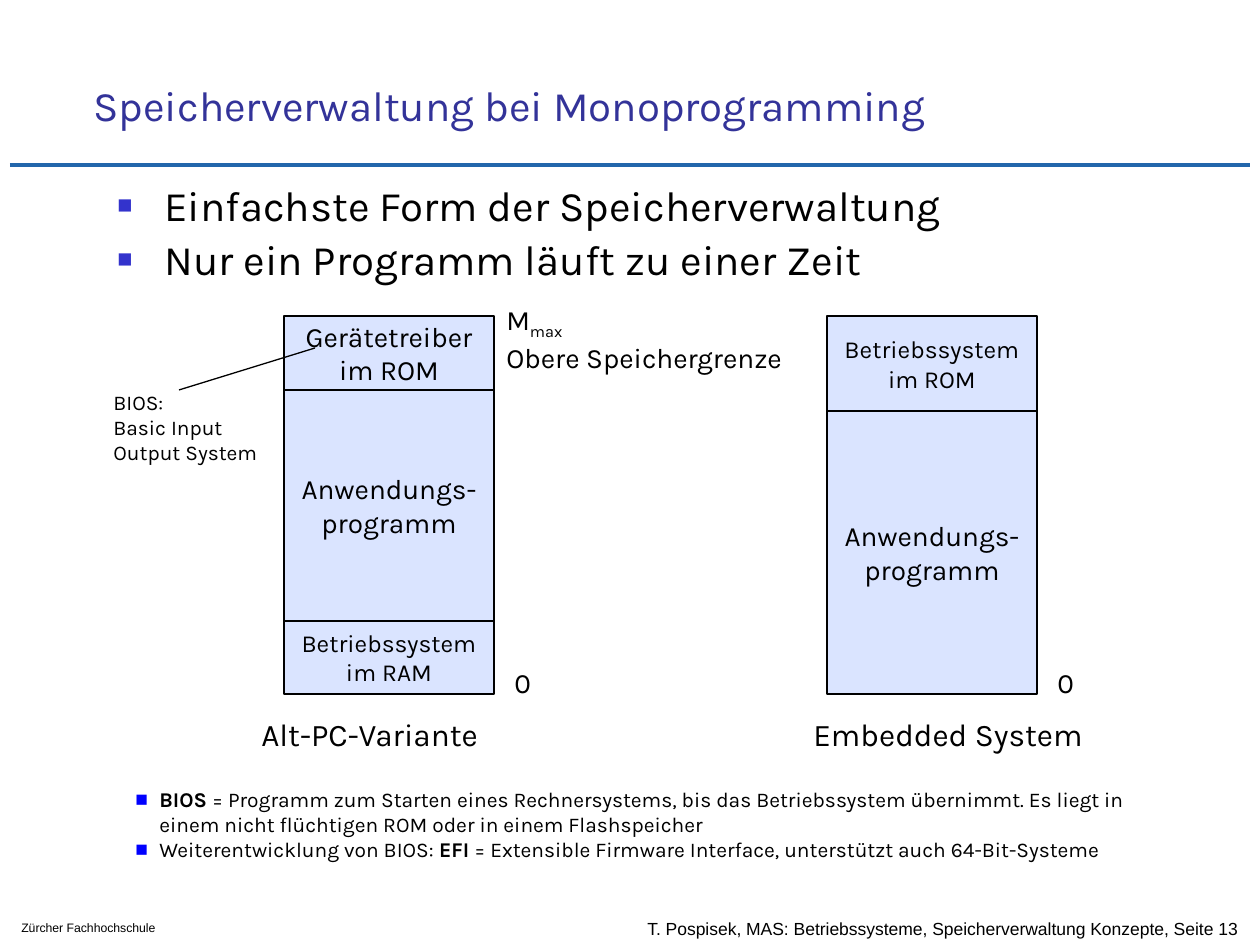
from dataclasses import dataclass

from lxml import etree
from pptx import Presentation
from pptx.dml.color import RGBColor
from pptx.enum.shapes import MSO_CONNECTOR, MSO_SHAPE
from pptx.enum.text import MSO_ANCHOR, MSO_AUTO_SIZE, PP_ALIGN
from pptx.oxml.ns import qn
from pptx.util import Pt

RECT = MSO_SHAPE.RECTANGLE
STRAIGHT = MSO_CONNECTOR.STRAIGHT
TOP, MIDDLE, BOTTOM = MSO_ANCHOR.TOP, MSO_ANCHOR.MIDDLE, MSO_ANCHOR.BOTTOM
LEFT, CENTER = PP_ALIGN.LEFT, PP_ALIGN.CENTER
GROW = MSO_AUTO_SIZE.SHAPE_TO_FIT_TEXT


@dataclass(frozen=True)
class Theme:
    font: str = "Karla"
    plain: str = "Arial"
    ink: str = "000000"
    title: str = "333399"
    rule: str = "2266AB"
    fill: str = "DAE4FF"
    mark: str = "3333CC"
    note: str = "0000FF"
    head: int = 24
    name: int = 18
    main: int = 16
    small: int = 14
    fine: int = 12
    foot: int = 10
    tiny: int = 7


THEME = Theme()


def px(n):
    return round(n * 914400 / 126)


def rgb(code):
    return RGBColor.from_string(code)


def add_run(para, text, size, color=THEME.ink, font=THEME.font, bold=False, base=0):
    run = para.add_run()
    run.text = text
    run.font.name = font
    run.font.size = Pt(size)
    run.font.bold = bold
    run.font.color.rgb = rgb(color)
    if base:
        run.font._element.set("baseline", str(base))


def write(frame, lines, size, align=LEFT, color=THEME.ink, font=THEME.font):
    paras = []
    for i, line in enumerate(lines):
        para = frame.add_paragraph() if i else frame.paragraphs[0]
        para.alignment = align
        parts = [(line, {})] if isinstance(line, str) else line
        for text, style in parts:
            add_run(para, text, size, color, font, **style)
        paras.append(para)
    return paras


def add_text(slide, box, lines, size, align=LEFT, anchor=TOP, wrap=False, **style):
    shape = slide.shapes.add_textbox(*map(px, box))
    frame = shape.text_frame
    frame.word_wrap = wrap
    if not wrap:
        frame.auto_size = GROW
    frame.vertical_anchor = anchor
    return write(frame, lines, size, align, **style)


def add_list(slide, box, lines, size, color, indent, scale=100, gap=0, pitch=None):
    paras = add_text(slide, box, lines, size, wrap=True)
    for i, para in enumerate(paras):
        props = para._p.get_or_add_pPr()
        props.set("marL", str(px(indent)))
        props.set("indent", str(-px(indent)))
        tint = etree.SubElement(props, qn("a:buClr"))
        etree.SubElement(tint, qn("a:srgbClr"), val=color)
        etree.SubElement(props, qn("a:buSzPct"), val=str(scale * 1000))
        etree.SubElement(props, qn("a:buFont"), typeface=THEME.plain)
        etree.SubElement(props, qn("a:buChar"), char="■")
        if pitch:
            para.line_spacing = pitch
        if i and gap:
            para.space_before = Pt(gap)


def add_line(slide, start, end, color, width):
    line = slide.shapes.add_connector(STRAIGHT, *map(px, start + end))
    line.line.color.rgb = rgb(color)
    line.line.width = Pt(width)
    etree.SubElement(line._element.spPr, qn("a:effectLst"))


def add_block(slide, box, lines, size):
    block = slide.shapes.add_shape(RECT, *map(px, box))
    block.shadow.inherit = False
    block.fill.solid()
    block.fill.fore_color.rgb = rgb(THEME.fill)
    block.line.color.rgb = rgb(THEME.ink)
    block.line.width = Pt(0.75)
    frame = block.text_frame
    frame.word_wrap = False
    frame.vertical_anchor = MIDDLE
    write(frame, lines, size, CENTER)


def add_stack(slide, left, blocks):
    top = 316
    for height, lines, size in blocks:
        add_block(slide, (left, top, 210, height), lines, size)
        top += height
    add_text(slide, (left + 218, 659, 40, 47), ["0"], THEME.main)


def main():
    t = THEME
    deck = Presentation()
    deck.slide_width, deck.slide_height = px(1260), px(945)
    slide = deck.slides.add_slide(deck.slide_layouts[6])

    add_line(slide, (10, 165), (1250, 165), t.rule, 2.5)
    add_text(slide, (635, 908, 616, 41),
             ["T. Pospisek, MAS: Betriebssysteme, Speicherverwaltung Konzepte, Seite 13"],
             t.foot, anchor=MIDDLE, font=t.plain)
    add_text(slide, (9, 914, 217, 28), ["Zürcher Fachhochschule"], t.tiny, font=t.plain)
    add_text(slide, (81, 42, 881, 94), ["Speicherverwaltung bei Monoprogramming"],
             t.head, anchor=BOTTOM, wrap=True, color=t.title)
    add_list(slide, (105, 179, 1018, 116),
             ["Einfachste Form der Speicherverwaltung",
              "Nur ein Programm läuft zu einer Zeit"],
             t.head, t.mark, 47, scale=60, gap=4.8, pitch=0.9)

    program = ["Anwendungs-", "programm"]
    add_stack(slide, 827, [
        (95, ["Betriebssystem", "im ROM"], t.small),
        (283, program, t.main),
    ])
    add_stack(slide, 284, [
        (74, ["Gerätetreiber", "im ROM"], t.main),
        (231, program, t.main),
        (73, ["Betriebssystem", "im RAM"], t.small),
    ])
    add_text(slide, (798, 709, 300, 50), ["Embedded System"], t.name, CENTER)
    add_text(slide, (249, 709, 280, 50), ["Alt-PC-Variante"], t.name)
    add_text(slide, (494, 296, 316, 84),
             [[("M", {}), ("max", {"base": -25000})], "Obere Speichergrenze"], t.main)
    add_text(slide, (101, 383, 173, 88),
             ["BIOS:", "Basic Input", "Output System"], t.fine)
    add_line(slide, (179, 390), (315, 348), t.ink, 0.75)

    bold = {"bold": True}
    add_list(slide, (123, 780, 1022, 88), [
        [("BIOS", bold),
         (" = Programm zum Starten eines Rechnersystems, bis das Betriebssystem übernimmt. "
          "Es liegt in einem nicht flüchtigen ROM oder in einem Flashspeicher", {})],
        [("Weiterentwicklung von BIOS: ", {}), ("EFI", bold),
         (" = Extensible Firmware Interface, unterstützt auch 64-Bit-Systeme", {})],
    ], t.fine, t.note, 24)
    deck.save("out.pptx")


if __name__ == "__main__":
    main()
